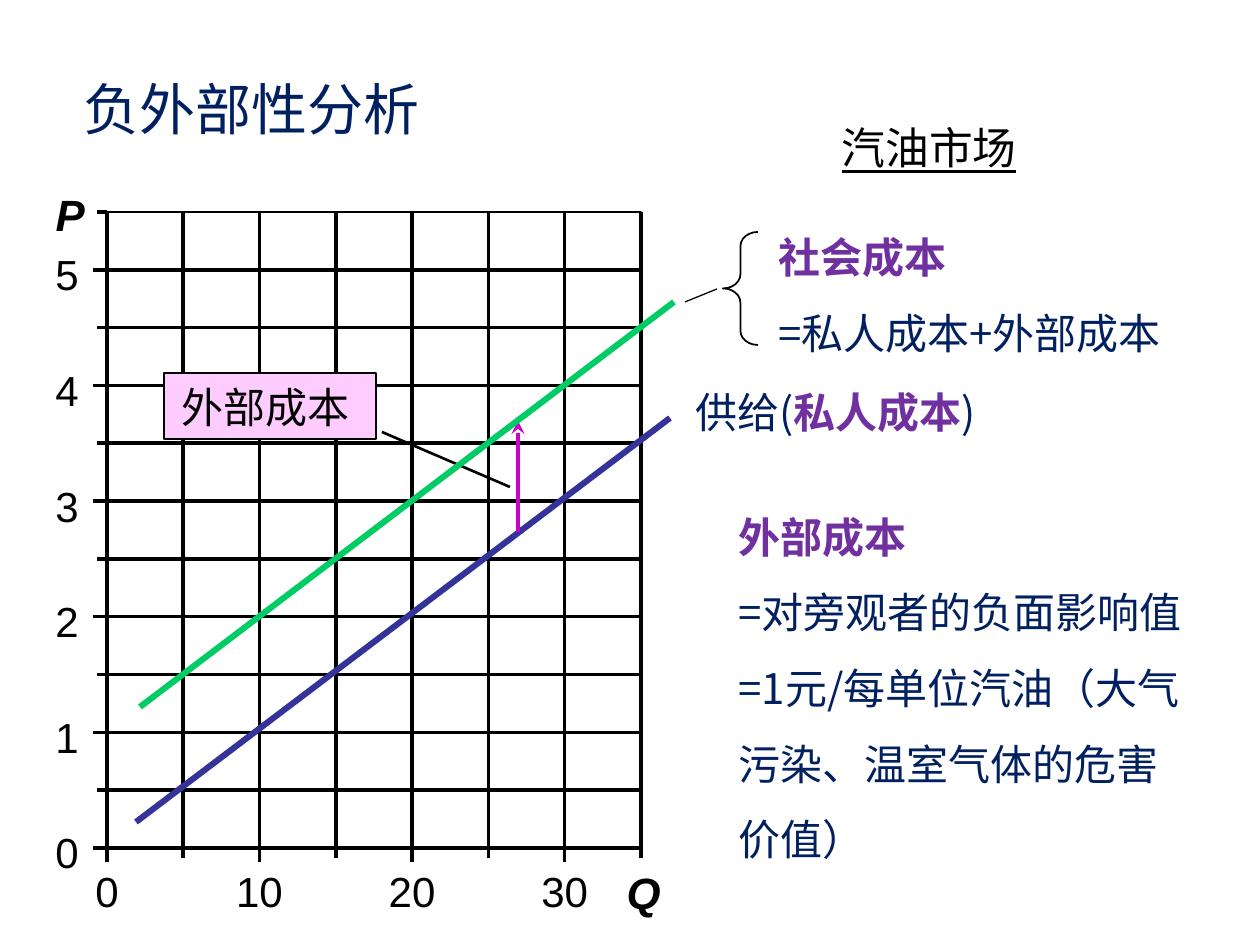
import pptx
import pptx.util
import pptx.dml.color
import pptx.enum.shapes
import pptx.enum.text
from pptx.oxml.ns import qn
from lxml import etree

PX = 914400 // 126
CJK = "Noto Sans CJK SC"
LATIN = "Arial"
COLORS = {
    "black": "000000", "white": "FFFFFF", "navy": "002060", "purple": "7030A0",
    "supply": "333399", "social": "00CC66", "gap": "CC00CC", "pink": "FFCCFF",
}
SHAPES = pptx.enum.shapes.MSO_SHAPE
ALIGN = pptx.enum.text.PP_ALIGN
ANCHOR = pptx.enum.text.MSO_ANCHOR

TITLE = "负外部性分析"
MARKET = "汽油市场"
CALLOUT = "外部成本 "
PRICES = range(6)
QUANTITIES = (0, 10, 20, 30)
# Each paragraph is a list of (text, colour, bold) runs.
SUPPLY_TEXT = [[("供给(", "navy", False), ("私人成本", "purple", True), (")", "navy", False)]]
SOCIAL_TEXT = [[("社会成本", "purple", True)], [("=私人成本+外部成本", "navy", False)]]
EXTERNAL_TEXT = [
    [("外部成本", "purple", True)],
    [("=对旁观者的负面影响值", "navy", False)],
    [("=1元/每单位汽油（大气污染、温室气体的危害价值）", "navy", False)],
]

LEFT, TOP, RIGHT, BOTTOM = 107, 212, 641, 848
COLUMNS, ROWS = 7, 11
MINOR_TICK, MAJOR_TICK = 10, 14


def px(value):
    return pptx.util.Emu(round(value * PX))


def rgb(name):
    return pptx.dml.color.RGBColor.from_string(COLORS[name])


def write(shape, content, size=24, font=CJK, color="black", align=ALIGN.LEFT,
          anchor=ANCHOR.TOP, spacing=None, wrap=True, inset=None,
          bold=False, italic=False, underline=False):
    """Fill a shape with a string, or with paragraphs of (text, colour, bold) runs."""
    frame = shape.text_frame
    frame.word_wrap = wrap
    frame.vertical_anchor = anchor
    if inset is not None:
        frame.margin_left = frame.margin_right = px(inset)
        frame.margin_top = frame.margin_bottom = px(inset)
    if isinstance(content, str):
        content = [[(content, color, bold)]]
    for index, runs in enumerate(content):
        paragraph = frame.paragraphs[0] if index == 0 else frame.add_paragraph()
        paragraph.alignment = align
        if spacing:
            paragraph.line_spacing = spacing
        for text, run_color, run_bold in runs:
            run = paragraph.add_run()
            run.text = text
            run.font.size = pptx.util.Pt(size)
            run.font.name = font
            run.font.bold = run_bold
            run.font.italic = italic
            run.font.underline = underline
            run.font.color.rgb = rgb(run_color)
            east_asian = etree.SubElement(run.font._element, qn("a:ea"))
            east_asian.set("typeface", CJK)


def add_text(slide, box, content, **text_format):
    write(slide.shapes.add_textbox(*map(px, box)), content, **text_format)


def add_line(slide, start, end, width, color="black", arrow=None):
    line = slide.shapes.add_connector(
        pptx.enum.shapes.MSO_CONNECTOR.STRAIGHT, *map(px, start + end))
    line.line.width = pptx.util.Pt(width)
    line.line.color.rgb = rgb(color)
    if arrow:
        etree.SubElement(line.line._get_or_add_ln(), qn("a:tailEnd")).set("type", arrow)
    etree.SubElement(line._element.spPr, qn("a:effectLst"))


def add_shape(slide, kind, box, fill=None, line_width=None):
    shape = slide.shapes.add_shape(kind, *map(px, box))
    shape.shadow.inherit = False
    if fill:
        shape.fill.solid()
        shape.fill.fore_color.rgb = rgb(fill)
    else:
        shape.fill.background()
    if line_width:
        shape.line.width = pptx.util.Pt(line_width)
        shape.line.color.rgb = rgb("black")
    else:
        shape.line.fill.background()
    return shape


def add_axes(slide):
    column_x = [LEFT + (RIGHT - LEFT) * i / COLUMNS for i in range(COLUMNS + 1)]
    row_y = [BOTTOM - (BOTTOM - TOP) * i / ROWS for i in range(ROWS + 1)]

    for y in row_y[1:-1]:
        add_line(slide, (LEFT, y), (RIGHT, y), 0)
    for x in column_x[1:]:
        add_line(slide, (x, TOP), (x, BOTTOM), 0)
    add_shape(slide, SHAPES.RECTANGLE, (LEFT, TOP, RIGHT - LEFT, BOTTOM - TOP), line_width=1)

    add_line(slide, (LEFT, TOP), (LEFT, BOTTOM), 2)
    add_line(slide, (LEFT, BOTTOM), (RIGHT, BOTTOM), 2)
    for index, y in enumerate(row_y):
        length = MINOR_TICK if index % 2 else MAJOR_TICK
        add_line(slide, (LEFT - length, y), (LEFT, y), 2)
    for index, x in enumerate(column_x):
        length = MINOR_TICK if index % 2 else MAJOR_TICK
        add_line(slide, (x, BOTTOM + length), (x, BOTTOM), 2)

    label = dict(font=LATIN, inset=0, wrap=False, align=ALIGN.CENTER)
    for price, y in zip(PRICES, row_y[::2]):
        add_text(slide, (55, y - 21, 24, 50), str(price), **label)
    for quantity, x in zip(QUANTITIES, column_x[::2]):
        add_text(slide, (x - 24, 866, 48, 50), str(quantity), **label)

    axis_name = dict(size=25, font=LATIN, bold=True, italic=True, align=ALIGN.RIGHT)
    add_text(slide, (593, 860, 80, 65), "Q", **axis_name)
    add_text(slide, (39, 182, 58, 65), "P", **axis_name)


def main():
    presentation = pptx.Presentation()
    presentation.slide_width = pptx.util.Inches(10)
    presentation.slide_height = pptx.util.Inches(7.5)
    slide = presentation.slides.add_slide(presentation.slide_layouts[5])

    title = slide.shapes.title
    title.left, title.top, title.width, title.height = map(px, (71, 76, 684, 64))
    write(title, TITLE, size=32, color="navy", anchor=ANCHOR.MIDDLE)

    add_text(slide, (683, 378, 450, 63), SUPPLY_TEXT, spacing=1.05)
    add_text(slide, (726, 480, 486, 394), EXTERNAL_TEXT, spacing=1.5)
    add_axes(slide)

    market = add_shape(slide, SHAPES.RECTANGLE, (660, 115, 538, 88), fill="white")
    write(market, MARKET, size=25, font=LATIN, align=ALIGN.CENTER, underline=True)

    add_line(slide, (136, 822), (670, 418), 3.5, "supply")
    add_line(slide, (518, 532), (518, 421), 2.5, "gap", arrow="stealth")

    add_line(slide, (382, 432), (510, 487), 1.5)
    callout = add_shape(slide, SHAPES.RECTANGLE, (164, 373, 212, 66), "pink", 0.75)
    write(callout, CALLOUT, font=LATIN, align=ALIGN.CENTER, spacing=1.05)

    add_line(slide, (140, 707), (674, 302), 3.5, "social")
    brace = add_shape(slide, SHAPES.LEFT_BRACE, (723, 232, 35, 113), line_width=1)
    brace.adjustments[0] = 0.405
    add_line(slide, (717, 289), (685, 302), 0.75)
    add_text(slide, (766, 200, 494, 156), SOCIAL_TEXT, spacing=1.5)

    presentation.save("out.pptx")


if __name__ == "__main__":
    main()
